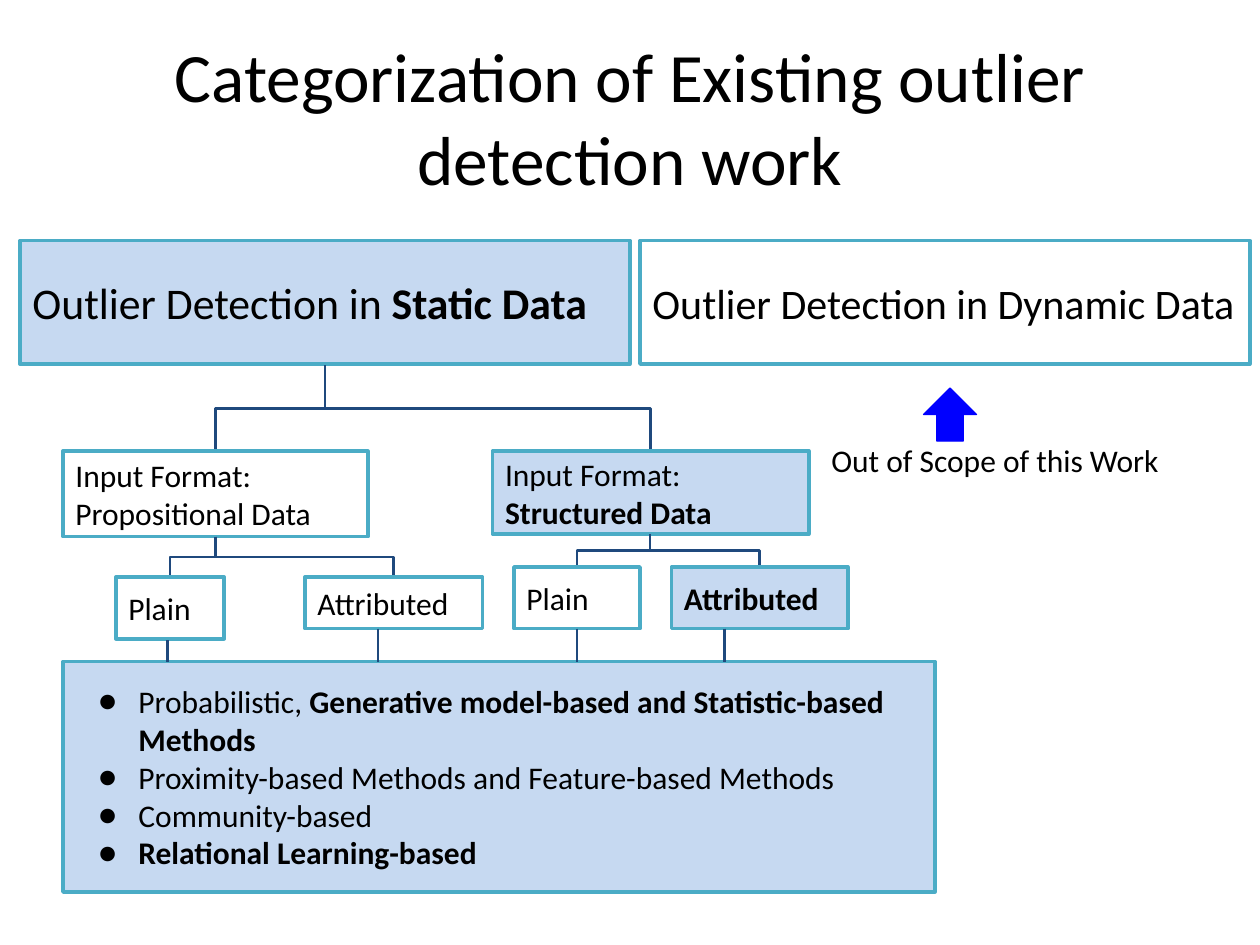
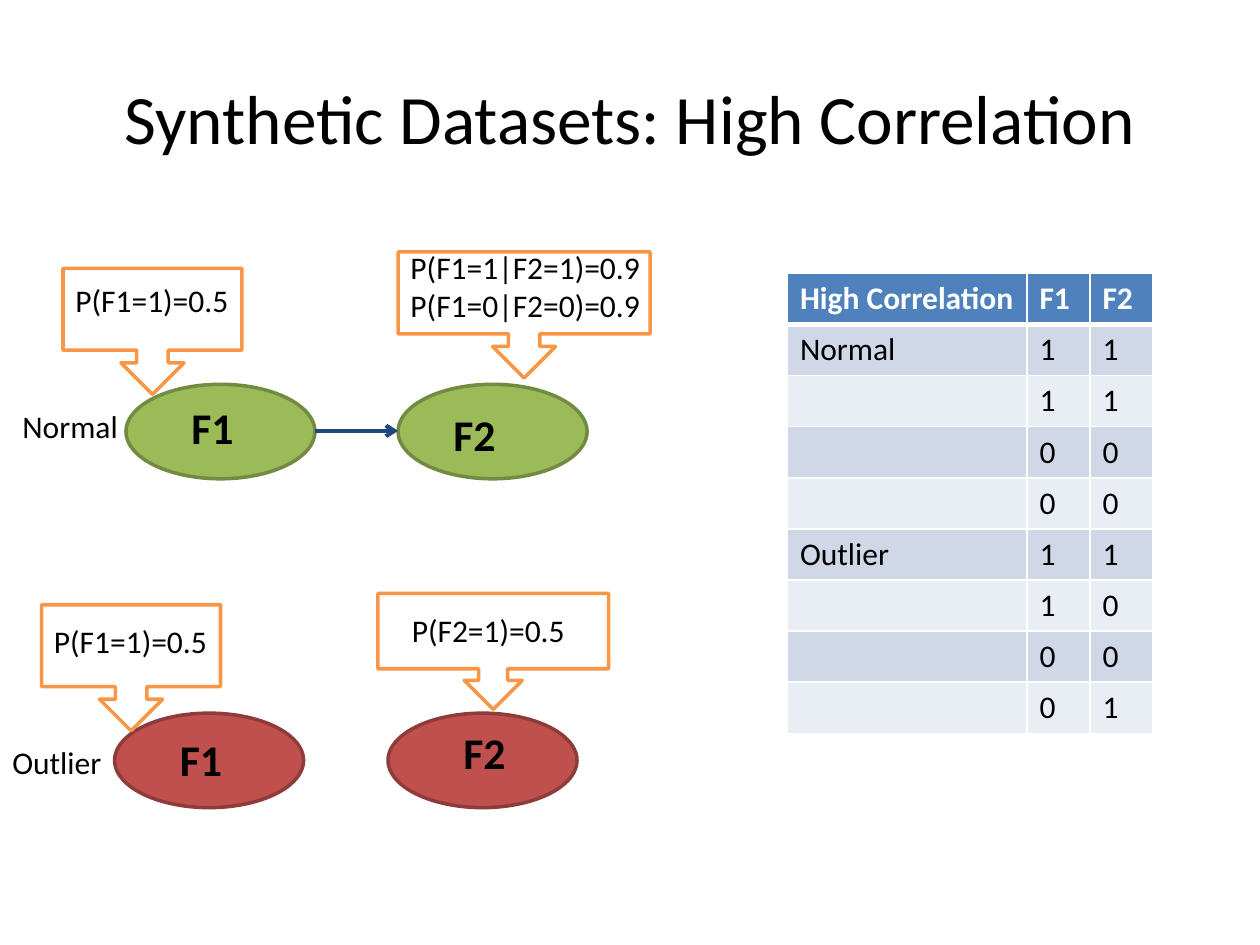
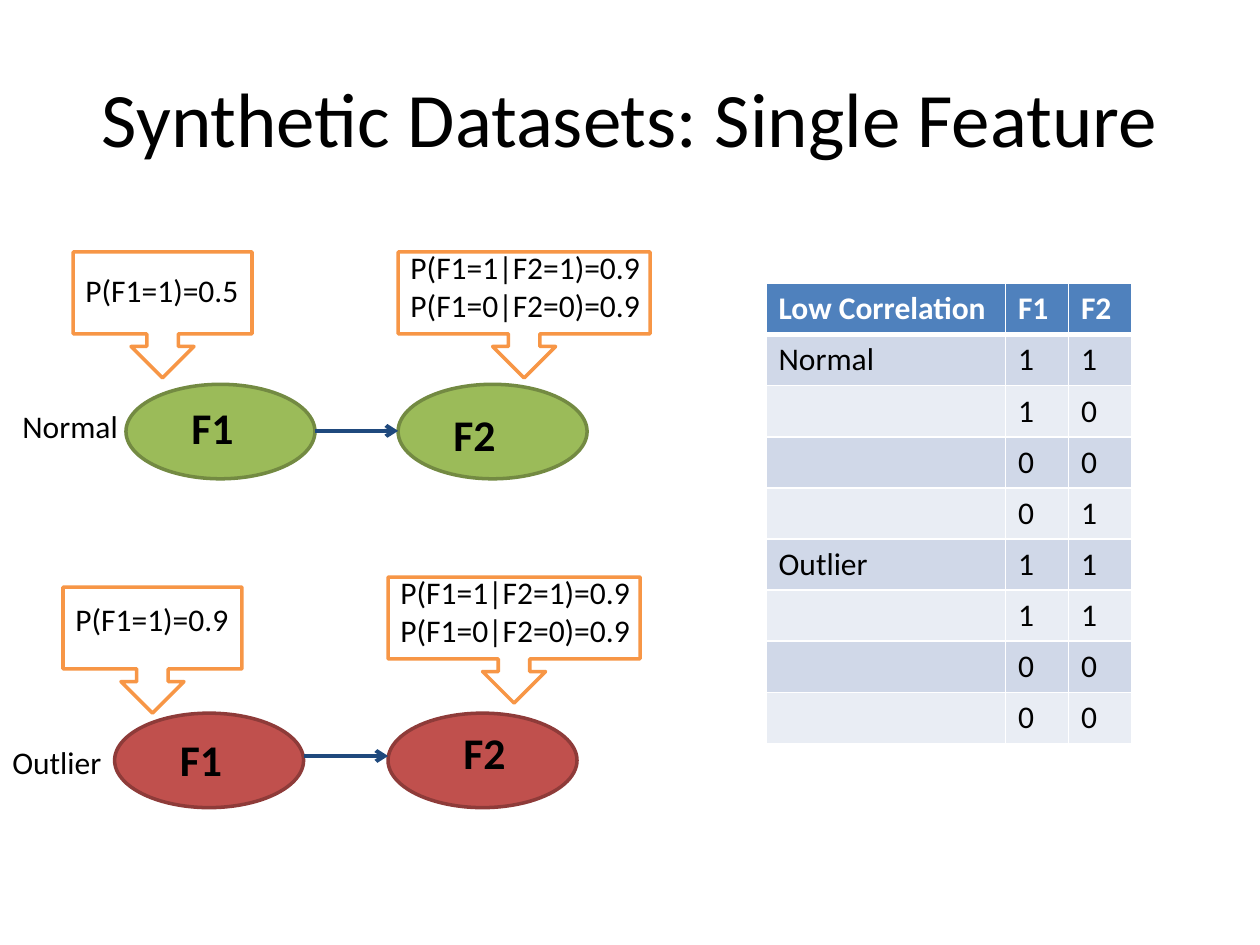
from dataclasses import dataclass

from lxml import etree
from pptx import Presentation
from pptx.dml.color import RGBColor
from pptx.enum.shapes import MSO_CONNECTOR, MSO_SHAPE
from pptx.enum.text import MSO_ANCHOR, MSO_AUTO_SIZE, PP_ALIGN
from pptx.oxml.ns import qn
from pptx.util import Inches, Pt

RECTANGLE, ELLIPSE = MSO_SHAPE.RECTANGLE, MSO_SHAPE.OVAL
UP_ARROW, CALLOUT = MSO_SHAPE.UP_ARROW, MSO_SHAPE.DOWN_ARROW_CALLOUT
STRAIGHT, ELBOW = MSO_CONNECTOR.STRAIGHT, MSO_CONNECTOR.ELBOW
TOP, MIDDLE = MSO_ANCHOR.TOP, MSO_ANCHOR.MIDDLE
LEFT, CENTER = PP_ALIGN.LEFT, PP_ALIGN.CENTER
NO_AUTOFIT = MSO_AUTO_SIZE.NONE
BOTTOM_SIDE = 2


@dataclass(frozen=True)
class Theme:
    font: str = "Calibri"
    text: str = "000000"
    white: str = "FFFFFF"
    chosen: str = "C6D9F1"
    box_line: str = "4BACC6"
    connector: str = "1F497D"
    scope_arrow: str = "0000FF"
    callout_line: str = "F79646"
    normal: tuple = ("9BBB59", "738A42")
    outlier: tuple = ("C0504D", "8E3B39")
    table_head: str = "4F81BD"
    table_bands: tuple = ("D0D8E8", "E9EDF4")
    title_size: float = 39.6
    large_title_size: float = 44
    node_size: float = 25
    heading_size: float = 24
    body_size: float = 18


THEME = Theme()


# ---- Shared helpers ----
def apply(target, values):
    for name, value in values.items():
        setattr(target, name, value)


def place(box):
    return [Inches(length) for length in box]


def write(frame, paragraphs, size=THEME.body_size, color=THEME.text,
          align=LEFT, bullet=None):
    """Each paragraph is a string or a list of (text, bold) runs."""
    for index, runs in enumerate(paragraphs):
        paragraph = frame.paragraphs[0] if index == 0 else frame.add_paragraph()
        paragraph.alignment = align
        if bullet:
            properties = paragraph._p.get_or_add_pPr()
            properties.set("marL", str(Inches(0.5)))
            properties.set("indent", str(Inches(-0.32)))
            etree.SubElement(properties, qn("a:buFont"), typeface=THEME.font)
            etree.SubElement(properties, qn("a:buChar"), char=bullet)
        for text, bold in [(runs, False)] if isinstance(runs, str) else runs:
            run = paragraph.add_run()
            run.text = text
            apply(run.font, {"name": THEME.font, "size": Pt(size), "bold": bold})
            run.font.color.rgb = RGBColor.from_string(color)


def add_title(slide, text, size):
    title = slide.shapes.title
    apply(title, dict(zip(("left", "top", "width", "height"),
                          place((0.5, 0.3, 9, 1.25)))))
    apply(title.text_frame, {"word_wrap": True, "auto_size": NO_AUTOFIT,
                             "vertical_anchor": MIDDLE})
    write(title.text_frame, [text], size, align=CENTER)


def add_figure(slide, kind, box, fill, line, width=2):
    figure = slide.shapes.add_shape(kind, *place(box))
    figure.shadow.inherit = False
    if fill:
        figure.fill.solid()
        figure.fill.fore_color.rgb = RGBColor.from_string(fill)
    else:
        figure.fill.background()
    figure.line.color.rgb = RGBColor.from_string(line)
    figure.line.width = Pt(width)
    return figure


def add_text(slide, box, paragraphs, size=THEME.body_size, margin=0.05):
    frame = slide.shapes.add_textbox(*place(box)).text_frame
    apply(frame, {"word_wrap": True, "vertical_anchor": TOP,
                  "margin_top": Inches(margin), "margin_bottom": Inches(margin)})
    write(frame, paragraphs, size)


def add_line(slide, start, end, kind=STRAIGHT, width=1.5, arrow=False):
    line = slide.shapes.add_connector(kind, *place(start + end))
    line.line.color.rgb = RGBColor.from_string(THEME.connector)
    line.line.width = Pt(width)
    if arrow:
        etree.SubElement(line.line._get_or_add_ln(), qn("a:tailEnd"), type="arrow")
    etree.SubElement(line._element.spPr, qn("a:effectLst"))
    return line


# ---- Categorization tree ----
def add_category(slide, box, paragraphs, chosen=False,
                 size=THEME.body_size, bullet=None):
    category = add_figure(slide, RECTANGLE, box,
                          THEME.chosen if chosen else None, THEME.box_line)
    frame = category.text_frame
    margins = {f"margin_{side}": Inches(0.1)
               for side in ("left", "top", "right", "bottom")}
    apply(frame, {"word_wrap": True, "vertical_anchor": MIDDLE, **margins})
    write(frame, paragraphs, size, bullet=bullet)
    return category


def add_branch(slide, start, end):
    """Elbow that leaves downwards: a sideways elbow turned about its centre."""
    (x1, y1), (x2, y2) = start, end
    middle_x, middle_y = (x1 + x2) / 2, (y1 + y2) / 2
    half_drop, half_run = (y2 - y1) / 2, abs(x2 - x1) / 2
    to_right = x2 > x1
    near = half_drop if to_right else -half_drop
    branch = add_line(slide, (middle_x + near, middle_y - half_run),
                      (middle_x - near, middle_y + half_run), ELBOW)
    turn = 270 if to_right else 90
    branch._element.spPr.xfrm.set("rot", str(turn * 60000))


def add_input_format(slide, box, stem, paragraphs, chosen, leaves):
    """Draw a format with its leaves, and return the leaves."""
    left, top, _, height = box
    add_category(slide, box, paragraphs, chosen)
    drawn = []
    for (dx, dy, width, leaf_height), text, leaf_chosen in leaves:
        leaf_box = (left + dx, top + dy, width, leaf_height)
        add_branch(slide, (stem, top + height),
                   (leaf_box[0] + width / 2, leaf_box[1]))
        drawn.append(add_category(slide, leaf_box, [[(text, leaf_chosen)]],
                                  leaf_chosen))
    return drawn


def build_categorization(slide):
    add_title(slide, "Categorization of Existing outlier detection work",
              THEME.title_size)

    # Data kinds
    add_category(slide, (0.16, 1.91, 4.84, 0.98),
                 [[("Outlier Detection in ", False), ("Static Data", True)]],
                 True, THEME.node_size)
    add_category(slide, (5.08, 1.91, 4.84, 0.98),
                 ["Outlier Detection in Dynamic Data"], size=THEME.heading_size)

    # Input formats and their leaves
    propositional_stem, structured_stem, format_top = 1.71, 5.16, 3.58
    for stem in (propositional_stem, structured_stem):
        add_branch(slide, (2.58, 2.9), (stem, format_top))
    add_input_format(
        slide, (0.5, format_top, 2.42, 0.68), propositional_stem,
        ["Input Format:", "Propositional Data"], False,
        [((0.42, 1, 0.86, 0.49), "Plain", False),
         ((1.92, 1, 1.41, 0.41), "Attributed", False)])
    structured_plain, _ = add_input_format(
        slide, (3.91, format_top, 2.51, 0.66), structured_stem,
        ["Input Format:", [("Structured Data", True)]], True,
        [((0.17, 0.92, 1, 0.49), "Plain", False),
         ((1.42, 0.92, 1.4, 0.49), "Attributed", True)])

    # Methods shared by all leaves
    methods_top = 5.25
    add_category(slide, (0.5, methods_top, 6.92, 1.83), [
        [("Probabilistic, ", False),
         ("Generative model-based and Statistic-based Methods", True)],
        "Proximity-based Methods and Feature-based Methods",
        "Community-based",
        [("Relational Learning-based", True)]], True, bullet="●")
    for x, leaf_bottom in ((1.33, 5.08), (3, 4.99), (5.75, 4.99)):
        add_line(slide, (x, leaf_bottom), (x, methods_top))
    plain_link = add_line(slide, (4.58, 4.99), (4.58, methods_top))
    plain_link.begin_connect(structured_plain, BOTTOM_SIDE)

    # Scope note
    add_figure(slide, UP_ARROW, (7.33, 3.08, 0.42, 0.42),
               THEME.scope_arrow, THEME.scope_arrow, 0.75)
    add_text(slide, (6.5, 3.42, 3, 0.18), ["Out of Scope of this Work"], margin=0.1)


# ---- Synthetic datasets ----
def add_callout(slide, box, text_offset, lines):
    left, top, width, _ = box
    dx, dy = text_offset
    add_figure(slide, CALLOUT, box, THEME.white, THEME.callout_line)
    text_width = 1.42 if width < 1.5 else 2.17
    add_text(slide, (left + dx, top + dy, text_width, 0.09 + 0.31 * len(lines)), lines)


def add_network(slide, origin, look, callouts, linked):
    left, top = origin
    fill, line = look["colors"]
    node_width, node_height = 1.5, 0.75
    nodes = zip(("F1", "F2"), (0, look["step"]), look["name_offsets"])
    for name, shift, (dx, dy) in nodes:
        node_left = left + shift
        add_figure(slide, ELLIPSE, (node_left, top, node_width, node_height),
                   fill, line)
        add_text(slide, (node_left + dx, top + dy, 1, 0.52), [[(name, True)]],
                 THEME.node_size)
    dx, dy = look["label_offset"]
    add_text(slide, (left + dx, top + dy, 1.17, 0.4), [look["label"]])
    for (dx, dy, width, height), text_offset, lines in callouts:
        add_callout(slide, (left + dx, top + dy, width, height), text_offset, lines)
    if linked:
        y = top + look["link_drop"]
        add_line(slide, (left + node_width, y), (left + look["step"], y),
                 width=2.25, arrow=True)


def set_borders(cell, widths):
    properties = cell._tc.get_or_add_tcPr()
    for index, (side, width) in enumerate(zip("LRTB", widths)):
        border = etree.Element(qn(f"a:ln{side}"), w=str(Pt(width)))
        fill = etree.SubElement(border, qn("a:solidFill"))
        etree.SubElement(fill, qn("a:srgbClr"), val=THEME.white)
        properties.insert(index, border)


def add_samples(slide, origin, heading, samples):
    labels = {0: "Normal", 4: "Outlier"}
    rows = [(heading, "F1", "F2")]
    rows += [(labels.get(i, ""), *pair) for i, pair in enumerate(samples)]
    widths = (1.9, 0.5, 0.5)
    table = slide.shapes.add_table(len(rows), len(widths),
                                   *place((*origin, sum(widths), 3.65))).table
    for column, width in zip(table.columns, widths):
        column.width = Inches(width)
    for r, values in enumerate(rows):
        head = r == 0
        fill = THEME.table_head if head else THEME.table_bands[(r - 1) % 2]
        for c, value in enumerate(values):
            cell = table.cell(r, c)
            cell.fill.solid()
            cell.fill.fore_color.rgb = RGBColor.from_string(fill)
            set_borders(cell, (1, 1, 3 if r == 1 else 1, 3 if head else 1))
            if value:
                write(cell.text_frame, [[(value, head)]],
                      color=THEME.white if head else THEME.text)


NORMAL = {"label": "Normal", "colors": THEME.normal, "step": 2.16,
          "name_offsets": ((0.42, 0.08), (0.34, 0.14)),
          "label_offset": (-0.92, 0.13), "link_drop": 0.37}
OUTLIER = {"label": "Outlier", "colors": THEME.outlier, "step": 2.17,
           "name_offsets": ((0.42, 0.11), (0.5, 0.05)),
           "label_offset": (-0.91, 0.19), "link_drop": 0.34}
CONDITIONAL = ["P(F1=1|F2=1)=0.9", "P(F1=0|F2=0)=0.9"]
NORMAL_F2 = ((2.16, -1.05, 2, 1), (0, -0.08), CONDITIONAL)

# Callouts: box relative to the F1 node, text offset, lines
HIGH_CORRELATION = {
    "title": ("Synthetic Datasets: High Correlation", THEME.title_size),
    "normal": [((-0.5, -0.92, 1.42, 1), (0, 0.05), ["P(F1=1)=0.5"]), NORMAL_F2],
    "outlier": [((-0.58, -0.86, 1.42, 1), (0, 0.09), ["P(F1=1)=0.5"]),
                ((2.09, -0.95, 1.83, 0.92), (0.17, 0.09), ["P(F2=1)=0.5"])],
    "outlier_linked": False,
    "table": ((6.25, 2.17), "High Correlation",
              ("11", "11", "00", "00", "11", "10", "00", "01")),
}
SINGLE_FEATURE = {
    "title": ("Synthetic Datasets: Single Feature", THEME.large_title_size),
    "normal": [((-0.42, -1.05, 1.42, 1), (0, 0.1), ["P(F1=1)=0.5"]), NORMAL_F2],
    "outlier": [((-0.41, -1, 1.42, 1), (0, 0.05), ["P(F1=1)=0.9"]),
                ((2.17, -1.08, 2, 1), (0, -0.08), CONDITIONAL)],
    "outlier_linked": True,
    "table": ((6.08, 2.25), "Low Correlation",
              ("11", "10", "00", "01", "11", "11", "00", "00")),
}


def build_dataset(slide, dataset):
    add_title(slide, *dataset["title"])
    add_network(slide, (1, 3.05), NORMAL, dataset["normal"], True)
    add_network(slide, (0.91, 5.66), OUTLIER, dataset["outlier"],
                dataset["outlier_linked"])
    add_samples(slide, *dataset["table"])


def main():
    deck = Presentation()
    apply(deck, {"slide_width": Inches(10), "slide_height": Inches(7.5)})
    title_only = deck.slide_layouts[5]
    build_categorization(deck.slides.add_slide(title_only))
    for dataset in (HIGH_CORRELATION, SINGLE_FEATURE):
        build_dataset(deck.slides.add_slide(title_only), dataset)
    deck.save("out.pptx")


if __name__ == "__main__":
    main()
